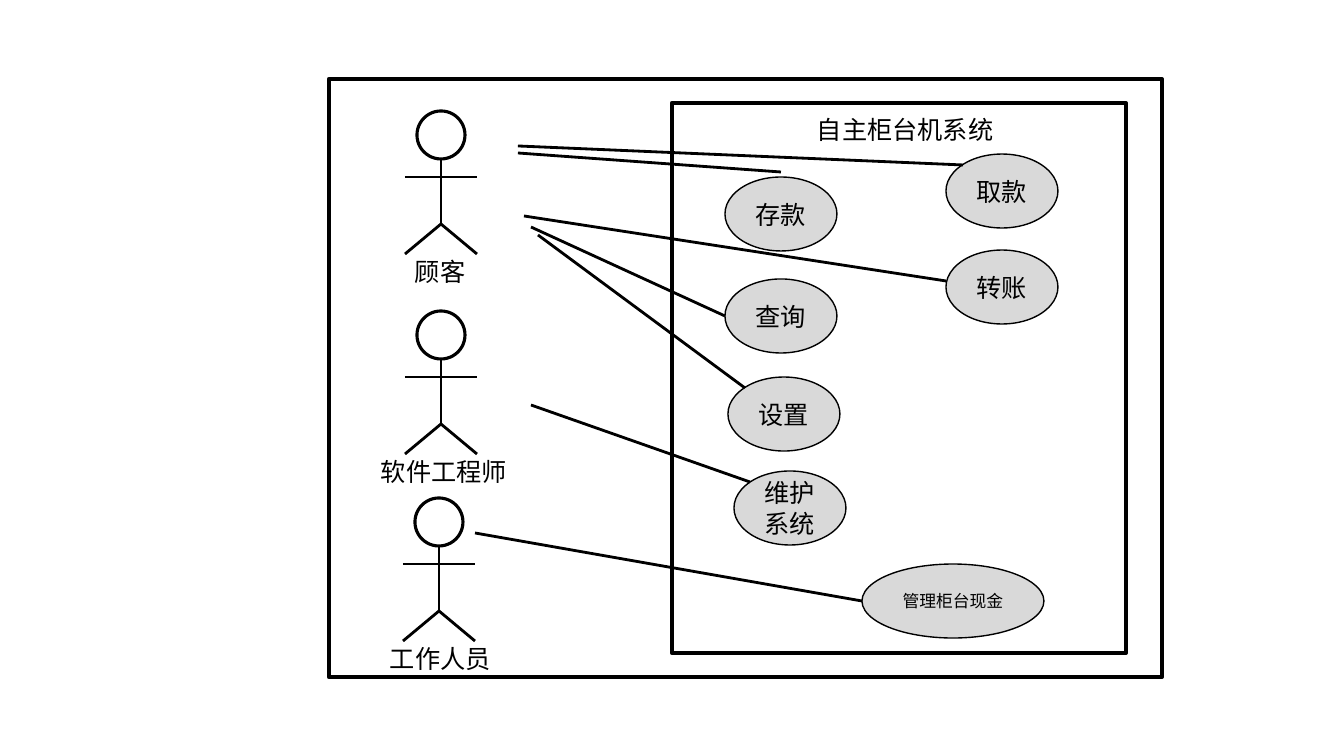
from pptx import Presentation
from pptx.dml.color import RGBColor
from pptx.enum.shapes import MSO_CONNECTOR, MSO_SHAPE
from pptx.enum.text import MSO_ANCHOR, PP_ALIGN
from pptx.oxml.ns import qn
from pptx.util import Pt
from lxml.etree import SubElement

PX = 914400 / 100.8
FONT = "Noto Sans CJK SC"
BLACK, GREY = "000000", "D9D9D9"

prs = Presentation()
prs.slide_width, prs.slide_height = round(1344 * PX), round(756 * PX)
slide = prs.slides.add_slide(prs.slide_layouts[6])


def add_part(kind, box, text="", size=18, fill=None, line=None, align=PP_ALIGN.LEFT):
    """Place a shape, or a plain label when kind is None."""
    place = [round(length * PX) for length in box]
    if kind is None:
        part = slide.shapes.add_textbox(*place)
    else:
        part = slide.shapes.add_shape(kind, *place)
        part.shadow.inherit = False
        part.line.color.rgb = RGBColor.from_string(BLACK)
        part.line.width = Pt(line)
        if fill:
            part.fill.solid()
            part.fill.fore_color.rgb = RGBColor.from_string(fill)
        else:
            part.fill.background()
    if text:
        frame = part.text_frame
        frame.word_wrap = True
        frame.vertical_anchor = MSO_ANCHOR.TOP if kind is None else MSO_ANCHOR.MIDDLE
        paragraph = frame.paragraphs[0]
        paragraph.text = text
        paragraph.alignment = align
        paragraph.font.size = Pt(size)
        paragraph.font.name = FONT
        paragraph.font.color.rgb = RGBColor.from_string(BLACK)
        east_asian = SubElement(paragraph._p.pPr.find(qn("a:defRPr")), qn("a:ea"))
        east_asian.set("typeface", FONT)


def add_line(*ends):
    line = slide.shapes.add_connector(
        MSO_CONNECTOR.STRAIGHT, *[round(end * PX) for end in ends])
    line.line.color.rgb = RGBColor.from_string(BLACK)
    line.line.width = Pt(2)
    SubElement(line._element.spPr, qn("a:effectLst"))


# Diagram frame and system boundary
add_part(MSO_SHAPE.RECTANGLE, (329, 79, 833, 598), line=3)
add_part(MSO_SHAPE.RECTANGLE, (672, 103, 454, 550), line=3)
add_part(None, (807, 109, 199, 40), "自主柜台机系统")

# Actors: centre, top of head, name, label left and width
actors = [
    (441, 111, "顾客", 405, 72),
    (441, 311, "软件工程师", 371, 187),
    (439, 498, "工作人员", 380, 138),
]
for centre, top, name, label_left, label_width in actors:
    add_part(MSO_SHAPE.OVAL, (centre - 24, top, 48, 48), line=2.25)
    add_line(centre - 36, top + 66, centre + 36, top + 66)
    add_line(centre, top + 48, centre, top + 113)
    for foot in (centre - 36, centre + 36):
        add_line(foot, top + 143, centre, top + 113)
    add_part(None, (label_left, top + 140, label_width, 40), name)

# Use cases: left, top, width, name, text size
use_cases = [
    (725, 177, 112, "存款", 18),
    (946, 154, 112, "取款", 18),
    (725, 279, 112, "查询", 18),
    (946, 250, 112, "转账", 18),
    (728, 377, 112, "设置", 18),
    (734, 471, 112, "维护系统", 18),
    (862, 564, 182, "管理柜台现金", 12),
]
for left, top, width, name, size in use_cases:
    add_part(MSO_SHAPE.OVAL, (left, top, width, 74), name, size,
             fill=GREY, line=1, align=PP_ALIGN.CENTER)

# Associations between actors and use cases
associations = [
    (518, 153, 781, 172),
    (518, 146, 963, 165),
    (531, 227, 725, 316),
    (524, 216, 946, 281),
    (538, 235, 745, 388),
    (531, 405, 750, 482),
    (475, 533, 862, 601),
]
for association in associations:
    add_line(*association)

prs.save("out.pptx")
